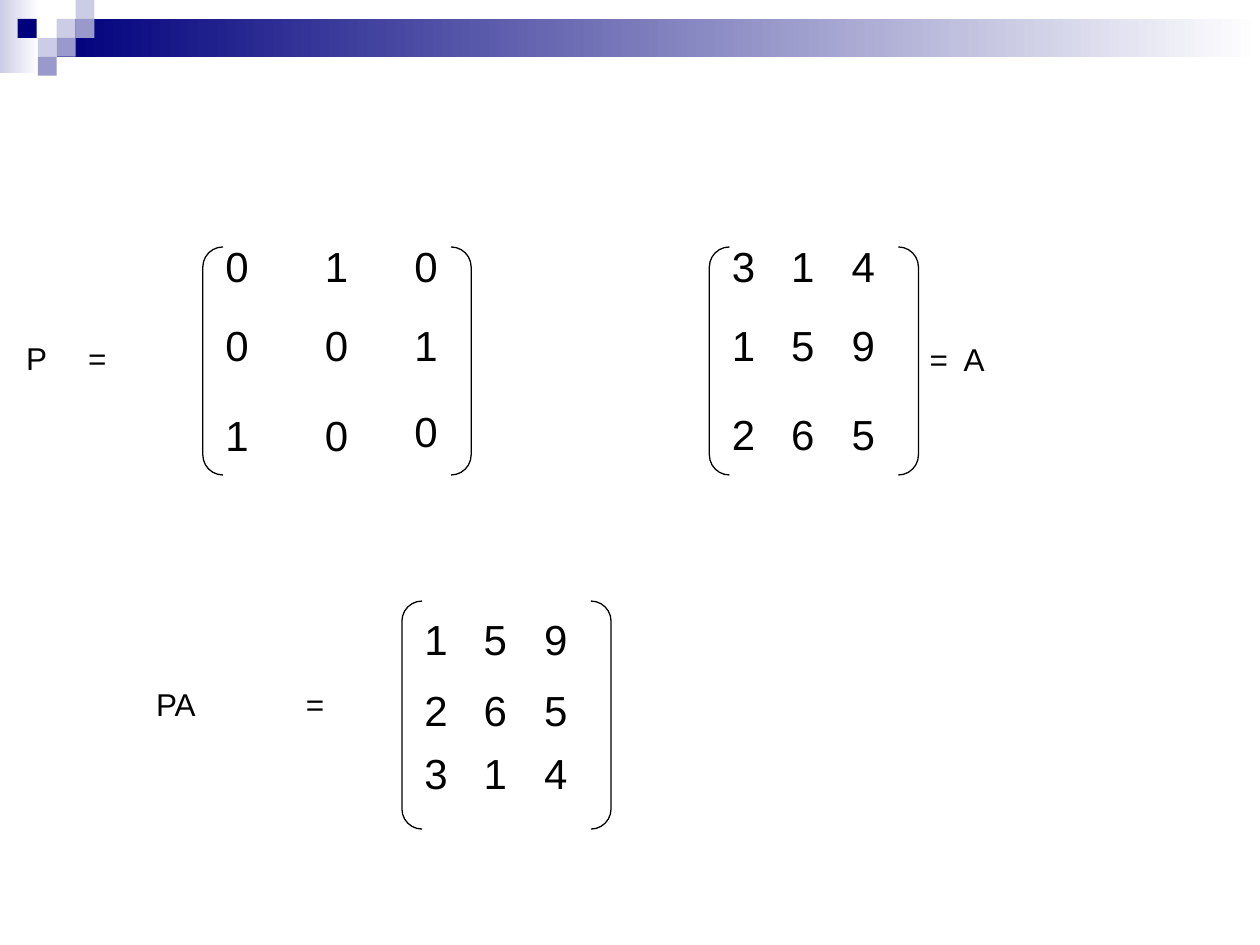
from dataclasses import dataclass

from lxml.etree import SubElement
from pptx import Presentation
from pptx.dml.color import RGBColor
from pptx.enum.shapes import MSO_SHAPE
from pptx.enum.text import MSO_ANCHOR, MSO_AUTO_SIZE
from pptx.oxml.ns import qn
from pptx.util import Inches, Pt

BLACK = RGBColor(0x00, 0x00, 0x00)
WHITE = RGBColor(0xFF, 0xFF, 0xFF)
NAVY = RGBColor(0x00, 0x00, 0x7D)
LAVENDER = RGBColor(0xCC, 0xCC, 0xE6)
PERIWINKLE = RGBColor(0x99, 0x99, 0xCC)

TILE = 0.15
BRACKET_WIDTH = 0.16
BRACKET_HEIGHT = 1.81
ENTRY_WIDTH = 0.71
ENTRY_HEIGHT = 0.5


@dataclass(frozen=True)
class Band:
    left: float
    top: float
    width: float
    height: float
    color: RGBColor
    fades: bool = False


@dataclass(frozen=True)
class Matrix:
    rows: tuple[str, ...]
    column_lefts: tuple[float, ...]
    row_tops: tuple[float, ...]
    bracket_top: float
    bracket_lefts: tuple[float, float]
    corner_lift: float = 0


@dataclass(frozen=True)
class Label:
    text: str
    left: float
    top: float
    width: float
    tab: float


BANDS = (
    Band(0, 0, 0.31, 0.58, LAVENDER, fades=True),
    Band(0.45, 0.15, 9.55, 0.3, NAVY, fades=True),
    Band(0.45, 0.15, TILE, TILE, LAVENDER),
    Band(0.6, 0, TILE, TILE, LAVENDER),
    Band(0.6, 0.15, TILE, TILE, PERIWINKLE),
    Band(0.3, 0.3, TILE, TILE, LAVENDER),
    Band(0.14, 0.15, TILE, TILE, NAVY),
    Band(0.45, 0.3, TILE, TILE, PERIWINKLE),
    Band(0.3, 0.45, TILE, TILE, PERIWINKLE),
)

MATRICES = (
    Matrix(("314", "159", "265"), (5.71, 6.18, 6.66), (1.86, 2.49, 3.19),
           1.96, (5.63, 7.13)),
    Matrix(("010", "001", "100"), (1.69, 2.48, 3.19), (1.86, 2.49, 3.2),
           1.96, (1.61, 3.58), corner_lift=0.03),
    Matrix(("159", "265", "314"), (3.27, 3.74, 4.22), (4.82, 5.38, 5.88),
           4.77, (3.19, 4.69)),
)

LABELS = (
    Label("PA\t=", 1.14, 5.39, 2.44, 1.19),
    Label("=\tA", 7.28, 2.65, 0.94, 0.27),
    Label("P\t=", 0.11, 2.64, 1.35, 0.49),
)


def add_text(slide, text: str, *, left: float, top: float, width: float,
             height: float, size: float, tab: float | None = None) -> None:
    box = slide.shapes.add_textbox(
        Inches(left), Inches(top), Inches(width), Inches(height))
    frame = box.text_frame
    frame.word_wrap = True
    frame.auto_size = MSO_AUTO_SIZE.SHAPE_TO_FIT_TEXT
    frame.vertical_anchor = MSO_ANCHOR.TOP
    paragraph = frame.paragraphs[0]
    paragraph.space_before = Pt(size * 0.625)
    run = paragraph.add_run()
    run.text = text
    run.font.size = Pt(size)
    run.font.name = "Arial"
    run.font.color.rgb = BLACK
    if tab is not None:
        properties = paragraph._p.get_or_add_pPr()
        stops = SubElement(properties, qn("a:tabLst"))
        SubElement(stops, qn("a:tab"), pos=str(Inches(tab)), algn="l")


def add_band(slide, band: Band) -> None:
    shape = slide.shapes.add_shape(
        MSO_SHAPE.RECTANGLE, Inches(band.left), Inches(band.top),
        Inches(band.width), Inches(band.height))
    shape.shadow.inherit = False
    shape.line.fill.background()
    if band.fades:
        shape.fill.gradient()
        shape.fill.gradient_angle = 0
        for stop, color in zip(shape.fill.gradient_stops, (band.color, WHITE)):
            stop.color.rgb = color
    else:
        shape.fill.solid()
        shape.fill.fore_color.rgb = band.color


def add_matrix(slide, matrix: Matrix) -> None:
    for row, (digits, top) in enumerate(zip(matrix.rows, matrix.row_tops)):
        for column, (digit, left) in enumerate(zip(digits, matrix.column_lefts)):
            lift = matrix.corner_lift if row == column == 2 else 0
            add_text(slide, digit, left=left, top=top - lift,
                     width=ENTRY_WIDTH, height=ENTRY_HEIGHT, size=24)
    sides = (MSO_SHAPE.LEFT_BRACKET, MSO_SHAPE.RIGHT_BRACKET)
    for side, left in zip(sides, matrix.bracket_lefts):
        bracket = slide.shapes.add_shape(
            side, Inches(left), Inches(matrix.bracket_top),
            Inches(BRACKET_WIDTH), Inches(BRACKET_HEIGHT))
        bracket.adjustments[0] = 1.0
        bracket.shadow.inherit = False
        bracket.fill.background()
        bracket.line.color.rgb = BLACK
        bracket.line.width = Pt(0.75)


def main() -> None:
    presentation = Presentation()
    presentation.slide_width = Inches(10)
    presentation.slide_height = Inches(7.5)
    slide = presentation.slides.add_slide(presentation.slide_layouts[6])
    for band in BANDS:
        add_band(slide, band)
    for matrix in MATRICES:
        add_matrix(slide, matrix)
    for label in LABELS:
        add_text(slide, label.text, left=label.left, top=label.top,
                 width=label.width, height=0.4, size=18, tab=label.tab)
    presentation.save("out.pptx")


if __name__ == "__main__":
    main()
